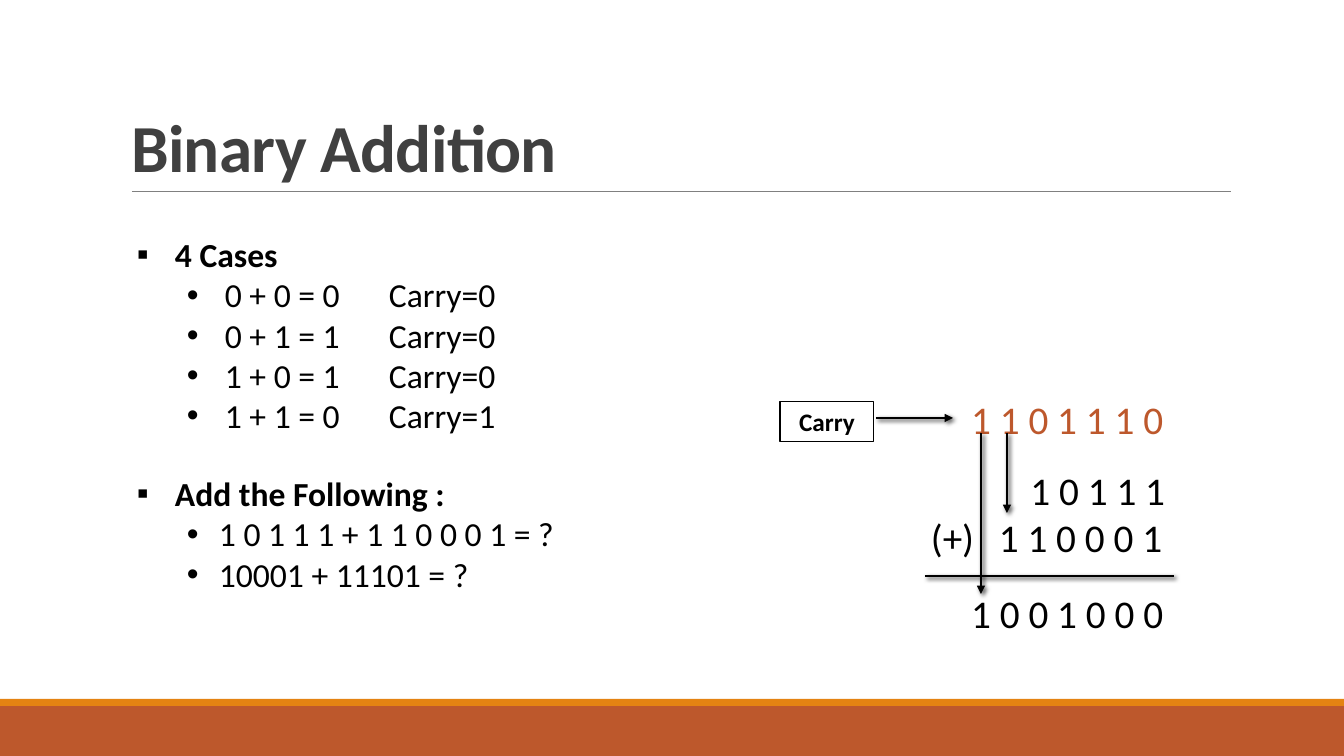
from lxml import etree
from pptx import Presentation
from pptx.dml.color import RGBColor
from pptx.enum.shapes import MSO_CONNECTOR as CONN, MSO_SHAPE as SHAPE
from pptx.enum.text import MSO_ANCHOR as ANCHOR, MSO_AUTO_SIZE as AUTOSIZE, PP_ALIGN as ALIGN
from pptx.oxml import parse_xml
from pptx.oxml.ns import nsdecls, qn
from pptx.util import Pt

PX = 914400 / 100.8
BLACK, RUST, ORANGE = "000000", "BD582C", "E48312"


def px(*lengths):
    return [round(length * PX) for length in lengths]


def color(hex_code):
    return RGBColor.from_string(hex_code)


prs = Presentation()
prs.slide_width, prs.slide_height = px(1344, 756)
slide = prs.slides.add_slide(prs.slide_layouts[5])
shapes = slide.shapes

# Footer bands
for top, height, band_color in [(706, 50, RUST), (699, 7, ORANGE)]:
    band = shapes.add_shape(SHAPE.RECTANGLE, *px(0, top, 1344, height))
    band.shadow.inherit = False
    band.fill.solid()
    band.fill.fore_color.rgb = color(band_color)
    band.line.fill.background()

# Title
title = shapes.title
title.left, title.top, title.width, title.height = px(121, 31, 1109, 160)
heading = title.text_frame
heading.text = "Binary Addition"
heading.auto_size = AUTOSIZE.NONE
heading.vertical_anchor = ANCHOR.BOTTOM
heading.paragraphs[0].alignment = ALIGN.LEFT
heading.paragraphs[0].line_spacing = 0.85
heading_run = heading.paragraphs[0].runs[0]
for key, value in {"name": "Calibri", "size": Pt(48), "bold": True}.items():
    setattr(heading_run.font, key, value)
heading_run.font.color.rgb = color("404040")
heading_run.font._element.set("spc", "-50")

# Bulleted lists: place, indent and hanging of the items, lines
lists = [
    ((127, 229, 865, 336), 88, 38,
     ["4 Cases", "0 + 0 = 0\tCarry=0", "0 + 1 = 1\tCarry=0",
      "1 + 0 = 1\tCarry=0", "1 + 1 = 0\tCarry=1"]),
    ((127, 468, 672, 163), 82, 32,
     ["Add the Following :", "1 0 1 1 1 + 1 1 0 0 0 1 = ?", "10001 + 11101 = ?"]),
]
tab_step = px(126)[0]
for place, item_indent, item_hang, lines in lists:
    frame = shapes.add_textbox(*px(*place)).text_frame
    frame.word_wrap = True
    for number, line in enumerate(lines):
        is_item = number > 0
        paragraph = frame.add_paragraph() if is_item else frame.paragraphs[0]
        paragraph.level = int(is_item)
        run = paragraph.add_run()
        run.text = line
        for key, value in {"name": "Calibri", "size": Pt(24), "bold": not is_item}.items():
            setattr(run.font, key, value)
        run.font.color.rgb = color(BLACK)
        indent, hang = px(item_indent, item_hang) if is_item else px(38, 38)
        props = paragraph._p.get_or_add_pPr()
        for key, value in {"marL": indent, "indent": -hang, "defTabSz": tab_step}.items():
            props.set(key, str(value))
        etree.SubElement(props, qn("a:buFont")).set("typeface", "Arial")
        etree.SubElement(props, qn("a:buChar")).set("char", "•" if is_item else "▪")

# Worked sum: addends, result, carries
sums = [
    ((921, 461, 254, 105), BLACK, ["1 0 1 1 1", "(+)\t1 1 0 0 0 1"]),
    ((925, 584, 248, 57), BLACK, ["1 0 0 1 0 0 0"]),
    ((925, 390, 248, 57), RUST, ["1 1 0 1 1 1 0"]),
]
for place, digit_color, rows in sums:
    frame = shapes.add_textbox(*px(*place)).text_frame
    frame.word_wrap = True
    for number, row in enumerate(rows):
        paragraph = frame.add_paragraph() if number else frame.paragraphs[0]
        paragraph.alignment = ALIGN.RIGHT
        if "\t" in row:
            paragraph.alignment = ALIGN.LEFT
            tabs = etree.SubElement(paragraph._p.get_or_add_pPr(), qn("a:tabLst"))
            tab = etree.SubElement(tabs, qn("a:tab"))
            tab.set("pos", str(px(68)[0]))
            tab.set("algn", "l")
        run = paragraph.add_run()
        run.text = row
        run.font.name, run.font.size = "Calibri", Pt(28)
        run.font.color.rgb = color(digit_color)

# Carry label
carry = shapes.add_shape(SHAPE.RECTANGLE, *px(780, 401, 94, 41))
carry.shadow.inherit = False
carry.fill.background()
carry.line.color.rgb = color(BLACK)
carry.line.width = Pt(0.75)
carry.text_frame.text = "Carry"
carry.text_frame.vertical_anchor = ANCHOR.MIDDLE
carry_text = carry.text_frame.paragraphs[0]
carry_text.alignment = ALIGN.CENTER
for key, value in {"name": "Calibri", "size": Pt(18), "bold": True}.items():
    setattr(carry_text.runs[0].font, key, value)
carry_text.runs[0].font.color.rgb = color(BLACK)

# Lines: ends, colour, weight, arrowhead, shadow
strokes = [
    ((132, 191, 1231, 191), "808080", 0.5, False, False),  # title rule
    ((925, 576, 1174, 576), BLACK, 2, False, True),        # sum rule
    ((876, 418, 953, 418), BLACK, 2, True, True),          # label to carries
    ((981, 433, 981, 594), BLACK, 2, True, True),          # carry to result
    ((1007, 433, 1007, 513), BLACK, 2, True, True),        # carry to addend
]
for ends, stroke_color, weight, has_head, has_shadow in strokes:
    stroke = shapes.add_connector(CONN.STRAIGHT, *px(*ends))
    stroke.line.color.rgb = color(stroke_color)
    stroke.line.width = Pt(weight)
    if has_head:
        head = etree.SubElement(stroke.line._get_or_add_ln(), qn("a:tailEnd"))
        head.set("type", "triangle")
    effects = parse_xml(f"<a:effectLst {nsdecls('a')}/>")
    if has_shadow:
        effects.append(parse_xml(
            f'<a:outerShdw {nsdecls("a")} blurRad="38100" dist="25400" dir="2700000">'
            f'<a:srgbClr val="{BLACK}"><a:alpha val="60000"/></a:srgbClr></a:outerShdw>'))
    stroke._element.spPr.append(effects)

prs.save("out.pptx")
